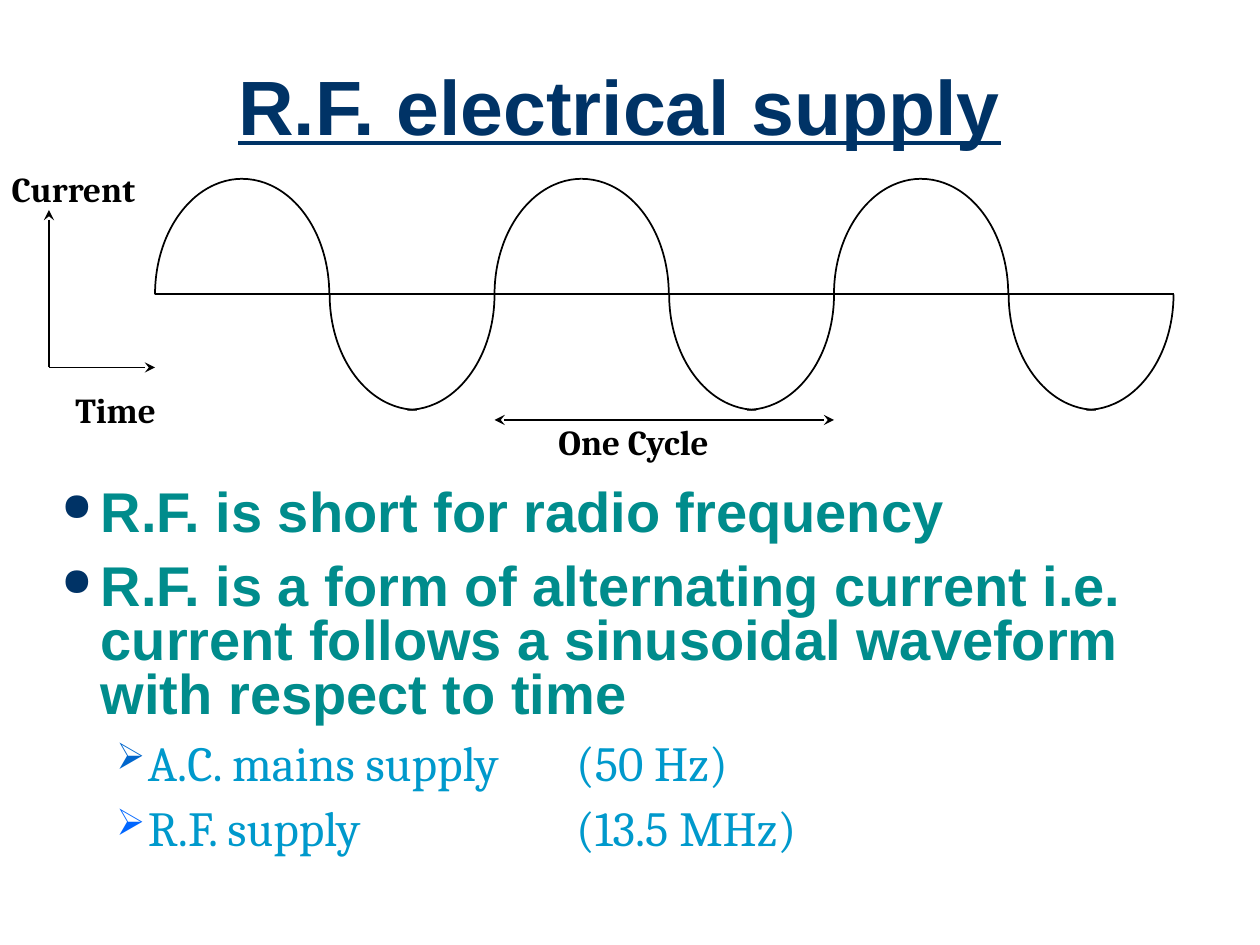
import lxml.etree
import pptx
import pptx.dml.color
import pptx.enum.shapes
import pptx.enum.text
import pptx.oxml
import pptx.oxml.ns
import pptx.util

Pt = pptx.util.Pt
qn = pptx.oxml.ns.qn
SubElement = lxml.etree.SubElement


def rgb(hex_code):
    return pptx.dml.color.RGBColor.from_string(hex_code)


def add_text(left, top, width, height, text, font_name, size, color, wrap):
    """Add a text box with one bold paragraph and return its text frame."""
    frame = slide.shapes.add_textbox(Pt(left), Pt(top), Pt(width), Pt(height)).text_frame
    frame.word_wrap = wrap
    paragraph = frame.paragraphs[0]
    paragraph.text = text
    paragraph.font.name = font_name
    paragraph.font.size = Pt(size)
    paragraph.font.bold = True
    paragraph.font.color.rgb = rgb(color)
    return frame


deck = pptx.Presentation()
deck.slide_width, deck.slide_height = Pt(720), Pt(540)
slide = deck.slides.add_slide(deck.slide_layouts[6])

title = add_text(18, 18, 672, 90, "R.F. electrical supply", "Arial", 44, "003366", True)
title.vertical_anchor = pptx.enum.text.MSO_ANCHOR.MIDDLE
title.paragraphs[0].alignment = pptx.enum.text.PP_ALIGN.CENTER
title.paragraphs[0].line_spacing = 0.9
title.paragraphs[0].font.underline = True

# Bulleted text: wording, level, bullet colour
points = [
    ("R.F. is short for radio frequency", 0, "003366"),
    ("R.F. is a form of alternating current i.e. current follows a sinusoidal "
     "waveform with respect to time", 0, "003366"),
    ("A.C. mains supply\t (50 Hz)", 1, "0066CC"),
    ("R.F. supply\t\t (13.5 MHz)", 1, "0066FF"),
]
# Per level: left margin, hanging indent, bullet, bullet size, space before, font, size, colour
levels = [
    (22.5, 22.5, "●", 70, 12, "Arial", 32, "008C8C"),
    (49.5, 18, "➢", 75, 10.5, "Cambria", 28, "0099CC"),
]
body = slide.shapes.add_textbox(Pt(28), Pt(276), Pt(648), Pt(222)).text_frame
body.word_wrap = True
for index, (wording, level, bullet_color) in enumerate(points):
    margin, hanging, bullet, bullet_size, gap, font_name, size, color = levels[level]
    paragraph = body.paragraphs[0] if index == 0 else body.add_paragraph()
    paragraph.text = wording
    paragraph.level = level
    properties = paragraph._p.get_or_add_pPr()
    properties.set("marL", str(Pt(margin)))
    properties.set("indent", str(-Pt(hanging)))
    SubElement(SubElement(properties, qn("a:buClr")), qn("a:srgbClr"), val=bullet_color)
    SubElement(properties, qn("a:buSzPct"), val=str(bullet_size * 1000))
    SubElement(properties, qn("a:buChar"), char=bullet)
    tabs = SubElement(properties, qn("a:tabLst"))
    for stop in range(1, 9):
        SubElement(tabs, qn("a:tab"), pos=str(Pt(72 * stop)), algn="l")
    paragraph.line_spacing = 0.8
    if index:
        paragraph.space_before = Pt(gap)
    paragraph.font.name = font_name
    paragraph.font.size = Pt(size)
    paragraph.font.bold = level == 0
    paragraph.font.color.rgb = rgb(color)

# Waveform: each cycle is four quarter arcs (offset from cycle start, start and end angle)
wave_left, wave_top, cycle_length = 88.6, 102.2, 194
arc_width, arc_height = 99.6, 132
quarters = [(94.4, 0, 90), (0, 180, 270), (0, 270, 0), (99.8, 90, 180)]
for cycle in range(3):
    wave = slide.shapes.add_group_shape()
    for offset, start, end in quarters:
        arc = wave.shapes.add_shape(
            pptx.enum.shapes.MSO_SHAPE.ARC,
            Pt(wave_left + cycle * cycle_length + offset), Pt(wave_top),
            Pt(arc_width), Pt(arc_height))
        # Arc angles are stored in 60000ths of a degree, adjustments in 100000ths
        arc.adjustments[0] = start * 0.6
        arc.adjustments[1] = end * 0.6
        arc.shadow.inherit = False
        arc.fill.background()
        arc.line.color.rgb = rgb("000000")
        arc.line.width = Pt(1)

# Lines: start x, start y, end x, end y, arrowheads
baseline = wave_top + arc_height / 2
second_cycle = wave_left + cycle_length
lines = [
    (wave_left, baseline, wave_left + 3 * cycle_length, baseline, []),
    (28, 120, 28, 210, ["headEnd"]),
    (28, 210, wave_left, 210, ["tailEnd"]),
    (second_cycle, 240, second_cycle + cycle_length, 240, ["headEnd", "tailEnd"]),
]
for x1, y1, x2, y2, arrowheads in lines:
    line = slide.shapes.add_connector(
        pptx.enum.shapes.MSO_CONNECTOR.STRAIGHT, Pt(x1), Pt(y1), Pt(x2), Pt(y2))
    line.line.color.rgb = rgb("000000")
    line.line.width = Pt(1)
    for end in arrowheads:
        SubElement(line.line._get_or_add_ln(), qn(f"a:{end}"), type="stealth")
    SubElement(line._element.spPr, qn("a:effectLst"))

labels = [
    (36, 218.5, 66, "Time"),
    (-0.5, 92, 95, "Current"),
    (312, 236.5, 114.5, "One Cycle"),
]
for left, top, width, wording in labels:
    add_text(left, top, width, 31, wording, "Cambria", 20, "000000", False)

deck.save("out.pptx")
